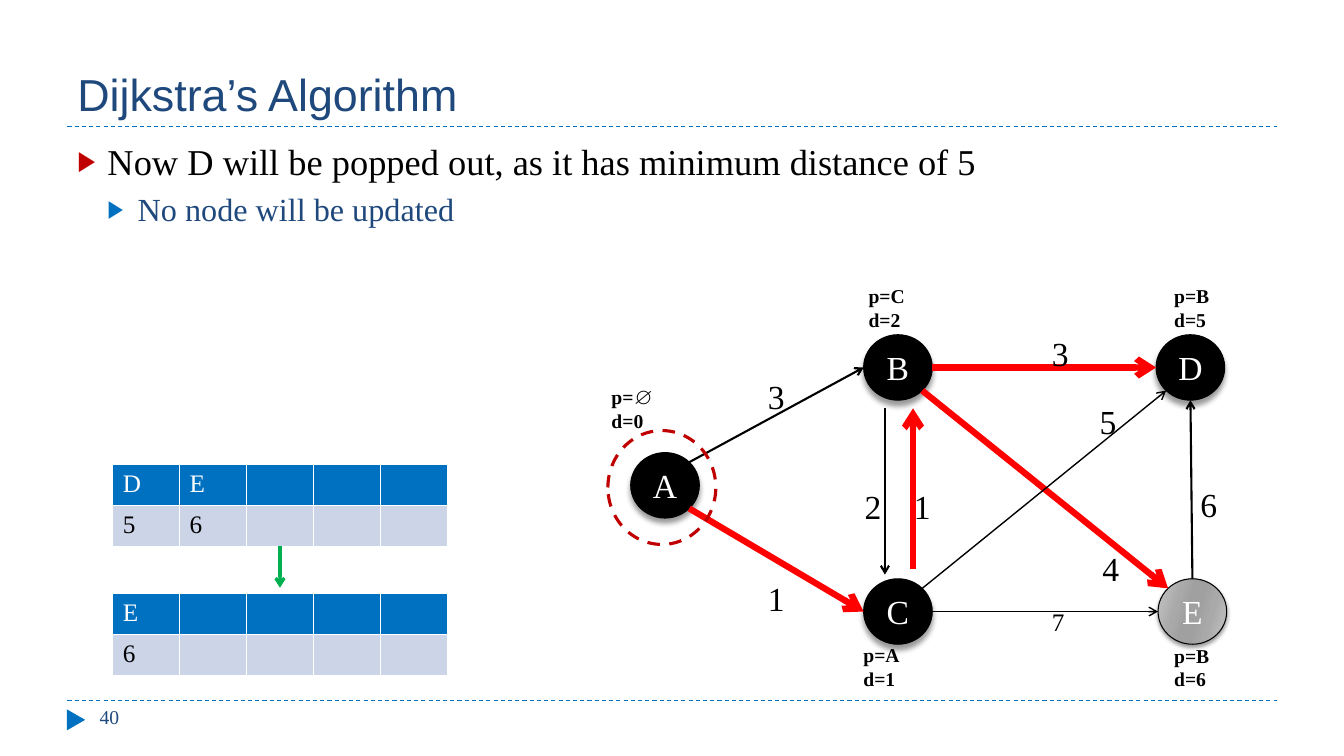
from dataclasses import dataclass
from math import cos, radians, sin

from lxml import etree
from pptx import Presentation
from pptx import util as u
from pptx.dml.color import RGBColor
from pptx.enum import dml, shapes, text
from pptx.oxml.ns import qn

Cm, Pt = u.Cm, u.Pt


@dataclass(frozen=True)
class Theme:
    """Colours, fonts and type sizes of the slide."""
    black: str = "000000"
    white: str = "FFFFFF"
    blue: str = "0070C0"
    navy: str = "1F497D"
    pale: str = "CCD5E8"
    red: str = "FF0000"
    dark: str = "C00000"
    green: str = "00B050"
    grey: tuple = ((0, "C5C5C5"), (30, "A9A9A9"), (45, "A0A0A0"),
                   (55, "A0A0A0"), (73, "A9A9A9"), (100, "C5C5C5"))
    sans: str = "Arial"
    serif: str = "Times New Roman"
    title: int = 32
    lead: int = 26
    sub: int = 23
    label: int = 24
    cell: int = 18
    note: int = 14


T = Theme()


def rgb(code):
    """Turn a hex code into a colour."""
    return RGBColor.from_string(code)


def add(node, tag, **attrs):
    """Append an XML child with attributes."""
    child = etree.SubElement(node, qn(tag))
    for key, val in attrs.items():
        child.set(key, str(val))
    return child


def style(para, size, color, face=T.serif, bold=False):
    """Set the font of a paragraph."""
    font = para.font
    font.size, font.name, font.bold = Pt(size), face, bold
    font.color.rgb = rgb(color)


def write(slide, box, words, size, color=T.black, face=T.serif, bold=False,
          anchor=text.MSO_ANCHOR.TOP):
    """Add a wrapped text box."""
    shape = slide.shapes.add_textbox(*map(Cm, box))
    frame = shape.text_frame
    frame.word_wrap, frame.vertical_anchor = True, anchor
    frame.text = words
    for para in frame.paragraphs:
        style(para, size, color, face, bold)
    return shape


def draw(slide, kind, box, fill=None, line=None, width=0.75):
    """Add a preset shape with a plain fill and outline."""
    shape = slide.shapes.add_shape(kind, *map(Cm, box))
    shape.shadow.inherit = False
    if fill:
        shape.fill.solid()
        shape.fill.fore_color.rgb = rgb(fill)
    else:
        shape.fill.background()
    if line:
        shape.line.color.rgb = rgb(line)
        shape.line.width = Pt(width)
    else:
        shape.line.fill.background()
    return shape


def link(slide, start, end, color, width, arrow=True):
    """Draw an arrow, or a dashed rule when arrow is off."""
    line = slide.shapes.add_connector(
        shapes.MSO_CONNECTOR.STRAIGHT, *map(Cm, (*start, *end)))
    line.line.color.rgb = rgb(color)
    line.line.width = Pt(width)
    if arrow:
        add(line.line._get_or_add_ln(), "a:tailEnd", type="arrow")
    else:
        line.line.dash_style = dml.MSO_LINE.DASH
    add(line._element.spPr, "a:effectLst")


def frame(slide, box, title, number):
    """Place the title, both rules and the page number."""
    x, y, w, h = box
    foot = y + h
    for level in (3.18, foot):
        link(slide, (x, level), (x + w, level), T.blue, 0.75, False)
    mark = draw(slide, shapes.MSO_SHAPE.ISOSCELES_TRIANGLE,
                (x - 0.05, foot + 0.26, 0.53, 0.46), T.blue)
    mark.rotation = 90
    write(slide, (x, y, w, 2.74), title, T.title, T.navy, T.sans,
          anchor=text.MSO_ANCHOR.BOTTOM)
    write(slide, (x + 0.56, foot, 7.34, 1.02), number, T.note, T.navy)


def body(slide, box, items):
    """Place the bulleted text, one level deeper per item."""
    words = "\n".join(item[0] for item in items)
    paras = write(slide, box, words, T.lead).text_frame.paragraphs
    for level, (para, item) in enumerate(zip(paras, items)):
        _, size, color, dot, gap = item
        style(para, size, color)
        para.level, para.space_before = level, Pt(gap)
        props = para._p.get_or_add_pPr()
        props.set("marL", str(Cm(0.76 * (level + 1))))
        props.set("indent", str(-Cm(0.76)))
        font = props.find(qn("a:defRPr"))
        props.remove(font)
        add(add(props, "a:buClr"), "a:srgbClr", val=dot)
        add(props, "a:buSzPct", val=76000)
        add(props, "a:buFont", typeface=T.sans)
        add(props, "a:buChar", char="▶")
        props.append(font)


def queue(slide, box, states):
    """Stack the queue tables with an arrow between them."""
    x, y, w, h = box
    tall, step = 2.06, h - 2.06
    for i, state in enumerate(states):
        top = y + i * step
        grid = slide.shapes.add_table(
            2, 5, *map(Cm, (x, top, w, tall))).table
        for r, (fill, ink) in enumerate(((T.blue, T.white),
                                         (T.pale, T.black))):
            for c in range(5):
                cell = grid.cell(r, c)
                cell.fill.solid()
                cell.fill.fore_color.rgb = rgb(fill)
                cell.text = state[c][r] if c < len(state) else ""
                style(cell.text_frame.paragraphs[0], T.cell, ink)
    mid = x + w / 2
    link(slide, (mid, y + tall), (mid, y + step - 0.15), T.green, 2.25)


def vertex(slide, name, mid, size, open_):
    """Draw one graph node, grey while it is still open."""
    w, h = size
    node = draw(slide, shapes.MSO_SHAPE.OVAL,
                (mid[0] - w / 2, mid[1] - h / 2, w, h), T.black, T.black)
    props = node._element.spPr
    if open_:
        node.fill.gradient()
        node.fill.gradient_angle = 344
        stops = props.find(".//" + qn("a:gsLst"))
        stops.clear()
        for pos, tone in T.grey:
            add(add(stops, "a:gs", pos=pos * 1000), "a:srgbClr", val=tone)
    blur, dist = (3, 2) if open_ else (4, 3.4)
    glow = add(props.find(qn("a:effectLst")), "a:outerShdw",
               blurRad=Pt(blur), dist=Pt(dist), dir=5400000, rotWithShape=0)
    add(add(glow, "a:srgbClr", val=T.black), "a:alpha", val=40000)
    area = node.text_frame
    area.margin_left = area.margin_right = 0
    area.margin_top = area.margin_bottom = 0
    area.vertical_anchor = text.MSO_ANCHOR.MIDDLE
    area.text = name
    para = area.paragraphs[0]
    para.alignment = text.PP_ALIGN.CENTER
    style(para, T.label, T.white)


def graph(slide, box, nodes, edges, pair, ring):
    """Place nodes, weighted edges, notes and the start ring."""
    x, y = box[:2]
    size = 1.73, 1.65
    mids = {n: (x + v[0], y + v[1]) for n, v in nodes.items()}

    def port(name, angle):
        """Find the point of a node's rim at a clockwise angle."""
        turn = radians(angle)
        return (mids[name][0] + size[0] / 2 * cos(turn),
                mids[name][1] + size[1] / 2 * sin(turn))

    for name, mid in mids.items():
        vertex(slide, name, mid, size, name == "E")
    lines = [(port(a, p), port(b, q), *rest)
             for a, p, b, q, *rest in edges]
    lines += [((x + at, y + p), (x + at, y + q), *rest)
              for at, p, q, *rest in pair]
    for start, end, width, cost, left, top, *pts in lines:
        color = T.red if width > 4 else T.black
        link(slide, start, end, color, width)
        write(slide, (x + left, y + top, 0.69, 1.27), cost,
              pts[0] if pts else T.label)
    for _, _, left, top, note in nodes.values():
        write(slide, (x + left, y + top, 3.45, 1.45), note, T.note,
              bold=True)
    left, top, w, h = ring
    halo = draw(slide, shapes.MSO_SHAPE.OVAL, (x + left, y + top, w, h),
                line=T.dark, width=2.25)
    halo.line.dash_style = dml.MSO_LINE.DASH


def main():
    """Build and save the slide."""
    deck = Presentation()
    deck.slide_width, deck.slide_height = Cm(33.87), Cm(19.05)
    slide = deck.slides.add_slide(deck.slide_layouts[6])
    frame(slide, (1.7, 0.43, 30.48, 17.22), "Dijkstra’s Algorithm", "40")
    body(slide, (1.7, 3.38, 30.48, 13.72), [
        ("Now D will be popped out, as it has minimum distance of 5",
         T.lead, T.black, T.dark, 6),
        ("No node will be updated", T.sub, T.navy, T.blue, 5)])
    queue(slide, (2.84, 11.71, 8.43, 5.31), [["D5", "E6"], ["E6"]])
    nodes = {"A": (1.6, 5.19, 0, 2.54, "p=∅\nd=0"),
             "B": (7.47, 2.22, 6.48, 0, "p=C\nd=2"),
             "C": (7.47, 8.37, 6.35, 9.04, "p=A\nd=1"),
             "D": (14.84, 2.22, 14.18, 0, "p=B\nd=5"),
             "E": (14.89, 8.37, 14.18, 9.06, "p=B\nd=6")}
    edges = [("A", -45, "B", 180, 1.5, "3", 3.94, 2.31),
             ("A", 45, "C", 180, 4.5, "1", 3.94, 7.41),
             ("B", 0, "D", 180, 4.5, "3", 11.1, 1.22),
             ("B", 45, "E", 225, 4.5, "4", 12.37, 6.65),
             ("E", -90, "D", 90, 1.5, "6", 14.84, 5.03),
             ("C", 0, "E", 180, 1, "7", 11.1, 8.12, T.cell),
             ("C", -45, "D", 135, 1, "5", 12.3, 2.94)]
    pair = [(7.14, 3.25, 7.44, 1.5, "2", 6.38, 5.08),
            (7.85, 7.29, 3.25, 4.5, "1", 7.62, 5.08)]
    graph(slide, (15.16, 7.04, 17.63, 10.51), nodes, edges, pair,
          (0.16, 3.81, 2.72, 2.87))
    deck.save("out.pptx")


if __name__ == "__main__":
    main()
